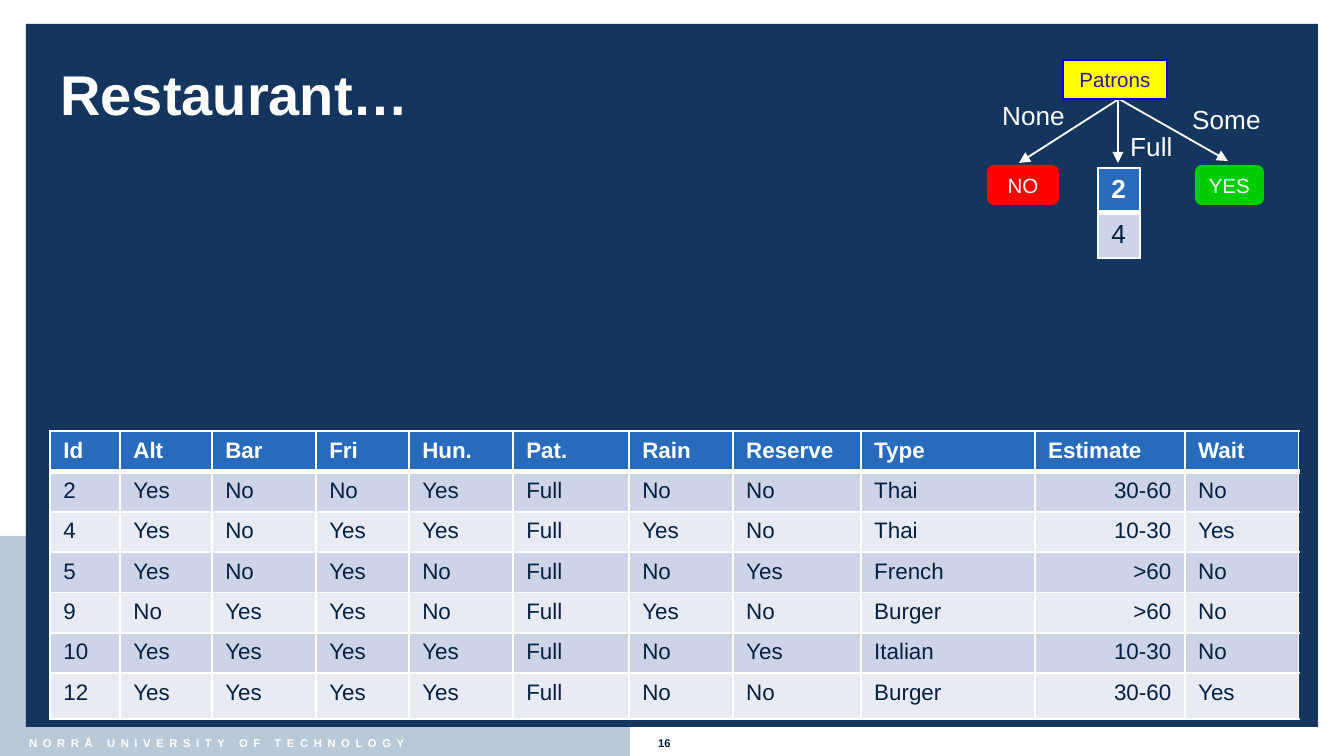
from lxml.etree import SubElement
from pptx import Presentation
from pptx.dml.color import RGBColor
from pptx.enum.shapes import MSO_CONNECTOR, MSO_SHAPE
from pptx.enum.text import MSO_ANCHOR, PP_ALIGN
from pptx.oxml.ns import qn
from pptx.util import Emu, Pt

PX = 914400 / 134.4
FONT = "Arial"
WHITE = RGBColor(0xFF, 0xFF, 0xFF)
NAVY = RGBColor(0x14, 0x35, 0x5E)
MIST = RGBColor(0xB8, 0xC9, 0xD7)
INK = RGBColor(0x03, 0x20, 0x40)
HEADER = RGBColor(0x28, 0x6B, 0xBD)
BANDS = [RGBColor(0xCD, 0xD4, 0xE8), RGBColor(0xE8, 0xEB, 0xF4)]
YELLOW = RGBColor(0xFF, 0xFF, 0x00)
BLUE = RGBColor(0x00, 0x00, 0xFF)
VIOLET = RGBColor(0x2D, 0x19, 0x93)
GREEN = RGBColor(0x00, 0xCC, 0x00)
RED = RGBColor(0xFF, 0x00, 0x00)

TITLE = "Restaurant…"
EXAMPLES = [
    ["Id", "Alt", "Bar", "Fri", "Hun.", "Pat.", "Rain", "Reserve", "Type", "Estimate", "Wait"],
    ["2", "Yes", "No", "No", "Yes", "Full", "No", "No", "Thai", "30-60", "No"],
    ["4", "Yes", "No", "Yes", "Yes", "Full", "Yes", "No", "Thai", "10-30", "Yes"],
    ["5", "Yes", "No", "Yes", "No", "Full", "No", "Yes", "French", ">60", "No"],
    ["9", "No", "Yes", "Yes", "No", "Full", "Yes", "No", "Burger", ">60", "No"],
    ["10", "Yes", "Yes", "Yes", "Yes", "Full", "No", "Yes", "Italian", "10-30", "No"],
    ["12", "Yes", "Yes", "Yes", "Yes", "Full", "No", "No", "Burger", "30-60", "Yes"],
]
EXAMPLE_WIDTHS = [70, 92, 104, 93, 104, 116, 104, 128, 174, 150, 114]
EXAMPLE_HEIGHTS = [38] * 6 + [46]
FULL_BRANCH = [["2"], ["4"]]
PANELS = [((0, 536, 630, 220), MIST), ((26, 24, 1292, 703), NAVY)]
FOOTER = [
    ("NORRÅ UNIVERSITY OF TECHNOLOGY", (16, 730, 600, 26), WHITE, 300),
    ("16", (645, 730, 60, 26), INK, 0),
]
ARROWS = [((1118, 99), (1118, 163)), ((1119, 99), (1019, 163)), ((1119, 99), (1228, 161))]
BRANCH_LABELS = [
    ("Some", (1179, 97, 95, 46)),
    ("Full", (1117, 124, 70, 46)),
    ("None", (989, 93, 90, 46)),
]
NODES = [
    ("Patrons", MSO_SHAPE.RECTANGLE, (1063, 60, 104, 39), YELLOW, BLUE, VIOLET),
    ("YES", MSO_SHAPE.ROUNDED_RECTANGLE, (1195, 165, 69, 40), GREEN, None, WHITE),
    ("NO", MSO_SHAPE.ROUNDED_RECTANGLE, (987, 165, 72, 40), RED, None, WHITE),
]


def px(*values):
    return [Emu(round(value * PX)) for value in values]


def style(frame, size, color, bold=False, align=PP_ALIGN.LEFT):
    for para in frame.paragraphs:
        para.alignment = align
        for span in para.runs:
            span.font.name = FONT
            span.font.size = Pt(size)
            span.font.bold = bold
            span.font.color.rgb = color


def add_block(page, kind, place, fill, line=None):
    block = page.shapes.add_shape(kind, *px(*place))
    block.shadow.inherit = False
    block.fill.solid()
    block.fill.fore_color.rgb = fill
    if line is None:
        block.line.fill.background()
    else:
        block.line.color.rgb = line
        block.line.width = Pt(1)
    return block


def add_label(page, text, place, size, color, bold=False):
    box = page.shapes.add_textbox(*px(*place))
    box.text_frame.word_wrap = False
    box.text_frame.text = text
    style(box.text_frame, size, color, bold)
    return box


def add_arrow(page, start, end):
    arrow = page.shapes.add_connector(MSO_CONNECTOR.STRAIGHT, *px(*start, *end))
    arrow.line.color.rgb = WHITE
    arrow.line.width = Pt(1)
    SubElement(arrow.line._get_or_add_ln(), qn("a:tailEnd"), type="triangle")
    SubElement(arrow._element.spPr, qn("a:effectLst"))


def set_borders(cell, widths):
    properties = cell._tc.get_or_add_tcPr()
    for side, width in widths.items():
        line = SubElement(properties, qn(f"a:ln{side}"), w=str(Pt(width)))
        SubElement(SubElement(line, qn("a:solidFill")), qn("a:srgbClr"), val=str(WHITE))


def add_banded_table(page, left, top, rows, widths, heights, size, right_column=None):
    place = px(left, top, sum(widths), sum(heights))
    table = page.shapes.add_table(len(rows), len(widths), *place).table
    for column, width in zip(table.columns, px(*widths)):
        column.width = width
    for row, height in zip(table.rows, px(*heights)):
        row.height = height
    for r, values in enumerate(rows):
        head = r == 0
        for c, value in enumerate(values):
            cell = table.cell(r, c)
            set_borders(cell, {"L": 1, "R": 1, "T": 3 if r == 1 else 1, "B": 3 if head else 1})
            cell.fill.solid()
            cell.fill.fore_color.rgb = HEADER if head else BANDS[(r - 1) % 2]
            cell.text_frame.text = value
            align = PP_ALIGN.RIGHT if c == right_column and not head else PP_ALIGN.LEFT
            style(cell.text_frame, size, WHITE if head else INK, head, align)


deck = Presentation()
deck.slide_width, deck.slide_height = px(1344, 756)
page = deck.slides.add_slide(deck.slide_layouts[5])

title = page.shapes.title
title.left, title.top, title.width, title.height = px(47, 27, 1249, 133)
title.text_frame.text = TITLE
title.text_frame.vertical_anchor = MSO_ANCHOR.MIDDLE
style(title.text_frame, 30, WHITE, True)

for index, (place, fill) in enumerate(PANELS):
    panel = add_block(page, MSO_SHAPE.RECTANGLE, place, fill)
    page.shapes._spTree.insert(2 + index, panel._element)

for text, place, color, spacing in FOOTER:
    box = add_label(page, text, place, 6, color, True)
    box.text_frame.paragraphs[0].runs[0].font._element.set("spc", str(spacing))

add_banded_table(page, 50, 431, EXAMPLES, EXAMPLE_WIDTHS, EXAMPLE_HEIGHTS, 12,
                 right_column=EXAMPLES[0].index("Estimate"))

for start, end in ARROWS:
    add_arrow(page, start, end)

for text, place in BRANCH_LABELS:
    add_label(page, text, place, 14, WHITE)

add_banded_table(page, 1098, 168, FULL_BRANCH, [42], [45, 45], 14)

for text, kind, place, fill, line, color in NODES:
    node = add_block(page, kind, place, fill, line)
    frame = node.text_frame
    frame.margin_left = frame.margin_right = frame.margin_top = frame.margin_bottom = 0
    frame.vertical_anchor = MSO_ANCHOR.MIDDLE
    frame.text = text
    style(frame, 11, color, align=PP_ALIGN.CENTER)

deck.save("out.pptx")
